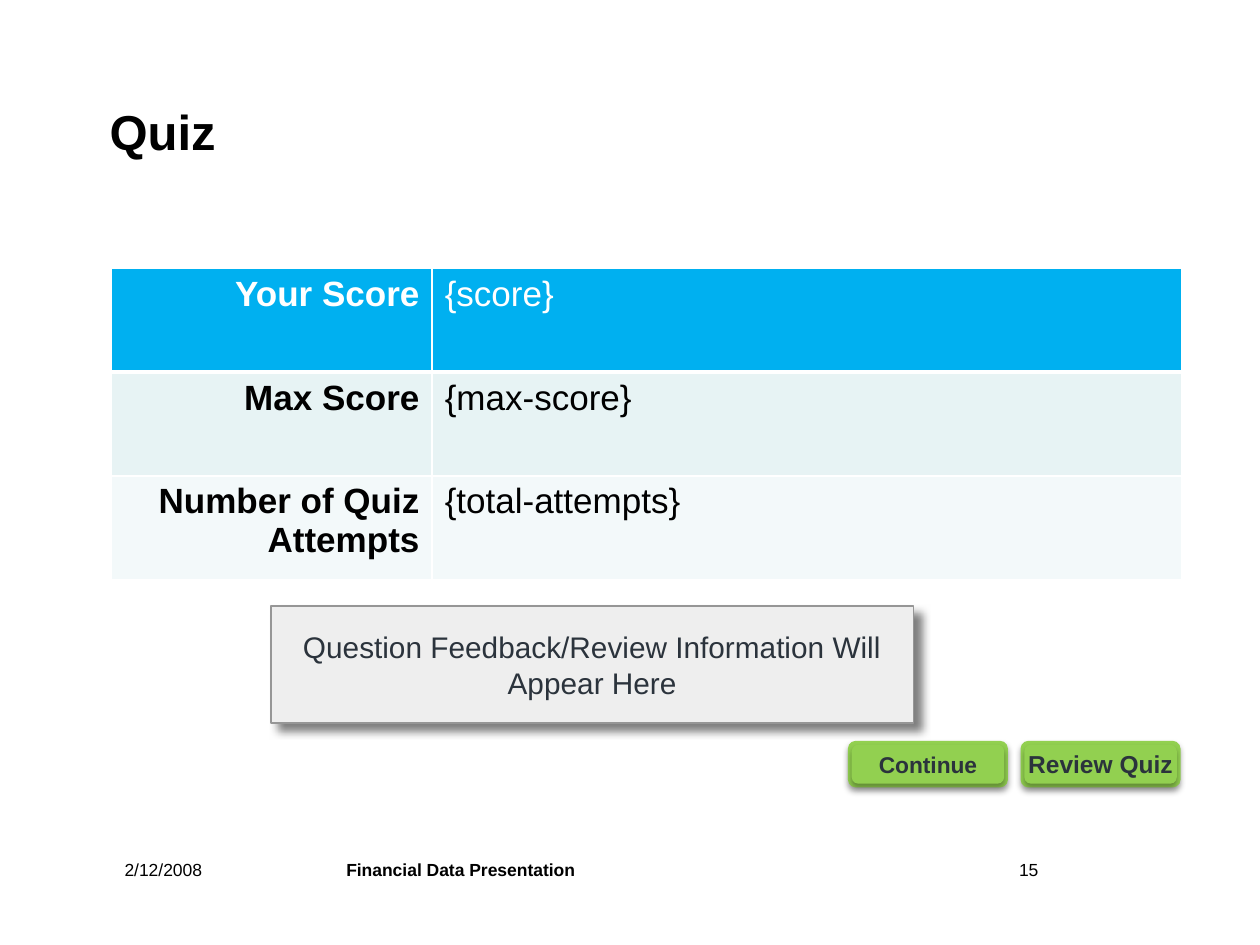
from dataclasses import dataclass

from lxml.etree import SubElement
from pptx import Presentation
from pptx.dml.color import RGBColor
from pptx.enum.shapes import MSO_SHAPE as Shape
from pptx.enum.text import MSO_ANCHOR as Anchor, MSO_AUTO_SIZE as AutoSize, PP_ALIGN as Align
from pptx.oxml.ns import qn
from pptx.util import Inches, Pt


@dataclass(frozen=True)
class Theme:
    font: str = "Arial"
    black: str = "000000"
    white: str = "FFFFFF"
    ink: str = "2B333C"
    header: str = "00B0F0"
    bands: tuple = ("E7F3F4", "F3F9FA")
    panel: str = "EEEEEE"
    panel_edge: str = "969696"
    panel_shadow: tuple = ("808080", 100, 5, 5.7, 45)
    button: str = "92D050"
    button_shadow: tuple = ("000000", 32, 3.5, 2.2, 90)
    title_size: int = 28
    table_size: int = 20
    feedback_size: int = 17
    footer_size: int = 10


THEME = Theme()

SCORES = [
    ("Your Score", "{score}"),
    ("Max Score", "{max-score}"),
    ("Number of Quiz Attempts", "{total-attempts}"),
]


def write(frame, text, size, color, bold=False, align=Align.LEFT):
    frame.text = text
    frame.word_wrap = True
    paragraph = frame.paragraphs[0]
    paragraph.alignment = align
    font = paragraph.runs[0].font
    font.name, font.size, font.bold = THEME.font, Pt(size), bold
    font.color.rgb = RGBColor.from_string(color)


def center_without_margins(frame):
    frame.margin_left = frame.margin_right = frame.margin_top = frame.margin_bottom = 0
    frame.vertical_anchor = Anchor.MIDDLE


def paint(target, color):
    target.fill.solid()
    target.fill.fore_color.rgb = RGBColor.from_string(color)


def add_shadow(shape, color, opacity, blur, distance, angle):
    shape.shadow.inherit = False
    effects = shape._element.spPr.find(qn("a:effectLst"))
    outer = SubElement(effects, qn("a:outerShdw"), blurRad=str(Pt(blur)), dist=str(Pt(distance)),
                       dir=str(angle * 60000), algn="ctr", rotWithShape="0")
    tint = SubElement(outer, qn("a:srgbClr"), val=color)
    SubElement(tint, qn("a:alpha"), val=str(opacity * 1000))


def add_borders(cell, top, bottom):
    """Draw white cell borders; must run before the cell is filled."""
    properties = cell._tc.get_or_add_tcPr()
    for side, width in (("L", 1), ("R", 1), ("T", top), ("B", bottom)):
        border = SubElement(properties, qn(f"a:ln{side}"), w=str(Pt(width)))
        fill = SubElement(border, qn("a:solidFill"))
        SubElement(fill, qn("a:srgbClr"), val=THEME.white)


def add_title(slide, text):
    title = slide.shapes.title
    title.left, title.top, title.width, title.height = map(Inches, (0.87, 0.75, 8.5, 0.58))
    write(title.text_frame, text, THEME.title_size, THEME.black, bold=True)
    center_without_margins(title.text_frame)
    title.text_frame.auto_size = AutoSize.NONE


def add_score_table(slide):
    table = slide.shapes.add_table(len(SCORES), 2, Inches(0.88), Inches(2.13),
                                   Inches(8.5), Inches(2.47)).table
    for column, width in zip(table.columns, (2.55, 5.95)):
        column.width = Inches(width)
    fills = (THEME.header, *THEME.bands)
    for row, (score, fill) in enumerate(zip(SCORES, fills)):
        color = THEME.white if row == 0 else THEME.black
        for column, text in enumerate(score):
            is_label = column == 0
            cell = table.cell(row, column)
            write(cell.text_frame, text, THEME.table_size, color, bold=is_label,
                  align=Align.RIGHT if is_label else Align.LEFT)
            add_borders(cell, top=3 if row == 1 else 1, bottom=3 if row == 0 else 1)
            paint(cell, fill)


def add_feedback_panel(slide, text):
    panel = slide.shapes.add_shape(Shape.RECTANGLE, *map(Inches, (2.15, 4.81, 5.1, 0.93)))
    paint(panel, THEME.panel)
    panel.line.color.rgb = RGBColor.from_string(THEME.panel_edge)
    panel.line.width = Pt(1)
    add_shadow(panel, *THEME.panel_shadow)
    write(panel.text_frame, text, THEME.feedback_size, THEME.ink, align=Align.CENTER)
    center_without_margins(panel.text_frame)


def add_button(slide, left, text, size):
    """Group a rim and a slightly smaller face that carries the label."""
    group = slide.shapes.add_group_shape()
    top, width, height, rim = 5.88, 1.27, 0.37, 0.03
    for inset in (0, rim):
        layer = group.shapes.add_shape(
            Shape.ROUNDED_RECTANGLE, Inches(left + inset), Inches(top + inset),
            Inches(width - 2 * inset), Inches(height - 2 * inset))
        layer.adjustments[0] = 0.17
        paint(layer, THEME.button)
        layer.line.fill.background()
        add_shadow(layer, *THEME.button_shadow)
    face = layer.text_frame
    write(face, text, size, THEME.ink, bold=True, align=Align.CENTER)
    center_without_margins(face)


def add_footer(slide, left, width, text, bold=False, align=Align.LEFT):
    footer = slide.shapes.add_textbox(Inches(left), Inches(6.77), Inches(width), Inches(0.5))
    write(footer.text_frame, text, THEME.footer_size, THEME.black, bold, align)


def main():
    deck = Presentation()
    deck.slide_width, deck.slide_height = Inches(10), Inches(7.5)
    slide = deck.slides.add_slide(deck.slide_layouts.get_by_name("Title Only"))

    add_title(slide, "Quiz")
    add_footer(slide, 0.89, 1.7, "2/12/2008")
    add_footer(slide, 2.65, 3.86, "Financial Data Presentation", bold=True)
    add_footer(slide, 6.77, 1.57, "15", align=Align.RIGHT)
    add_score_table(slide)
    add_feedback_panel(slide, "Question Feedback/Review Information Will Appear Here")
    add_button(slide, 8.1, "Review Quiz", 14)
    add_button(slide, 6.73, "Continue", 13)

    deck.save("out.pptx")


if __name__ == "__main__":
    main()
